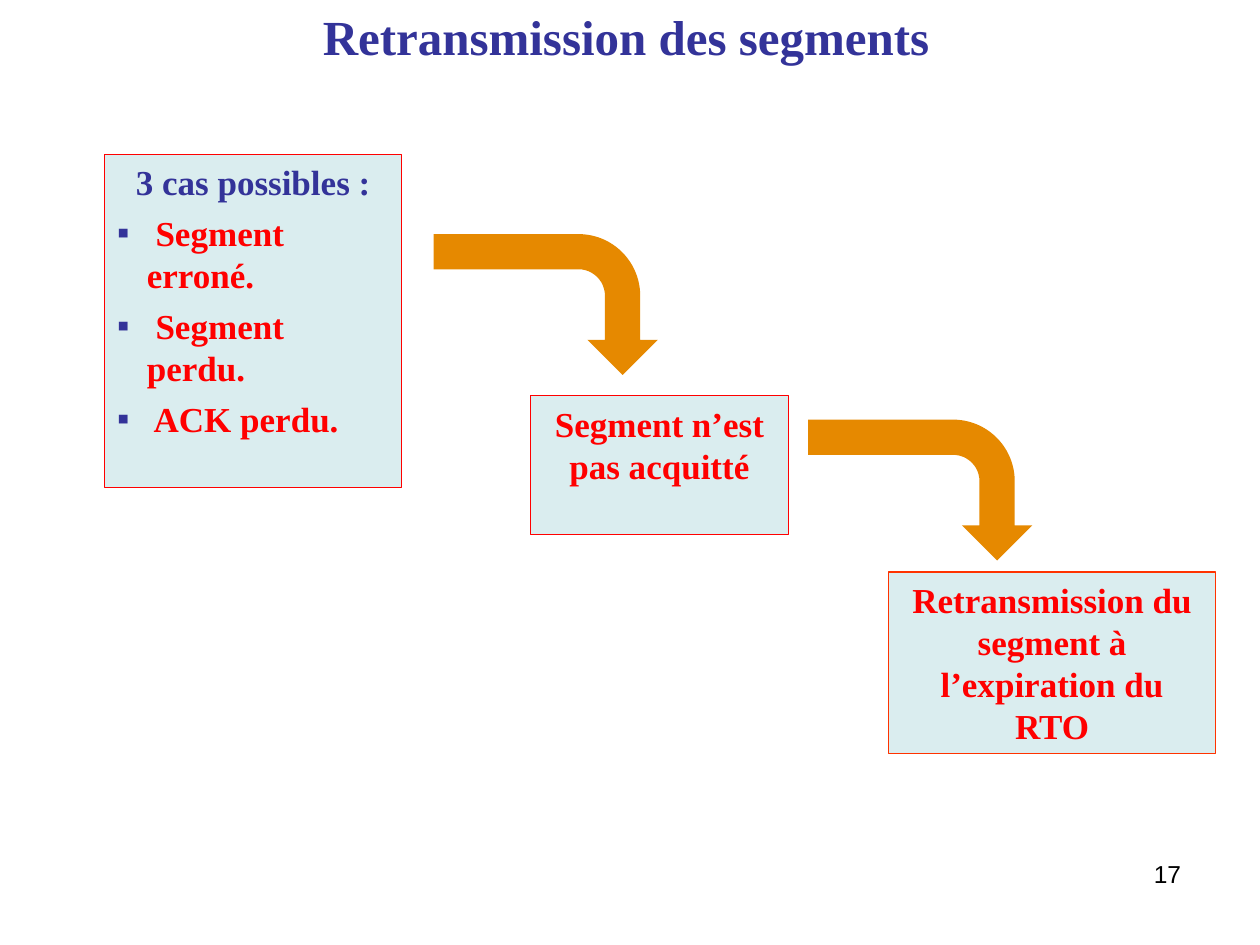
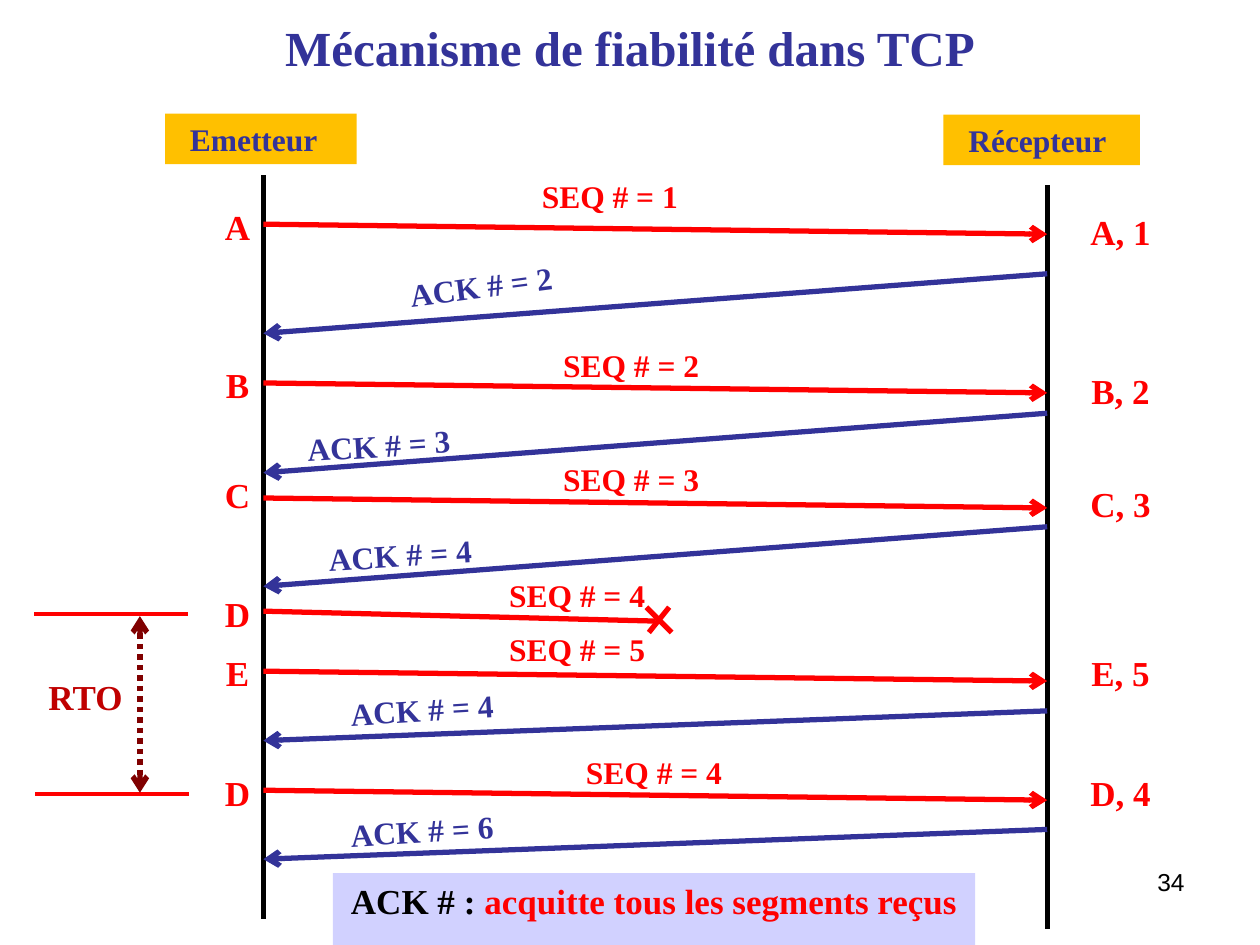
import pptx
import pptx.dml.color
import pptx.enum.dml
import pptx.enum.shapes
import pptx.enum.text
import pptx.oxml.ns
import pptx.util
from lxml import etree

COLORS = {
    "blue": "333399", "red": "FF0000", "orange_red": "FF3300", "black": "000000",
    "pale_blue": "DAEDEF", "orange": "E68900", "gold": "FFC000",
    "lilac": "D1D1FF", "maroon": "800000", "dark_red": "C00000",
}
SERIF, SANS = "Times New Roman", "Arial"
Cm, Pt = pptx.util.Cm, pptx.util.Pt
ALIGN = pptx.enum.text.PP_ALIGN
SHAPE = pptx.enum.shapes.MSO_SHAPE


def rgb(name):
    return pptx.dml.color.RGBColor.from_string(COLORS[name])


def add_element(parent, tag, **attributes):
    return etree.SubElement(parent, pptx.oxml.ns.qn(tag), attributes)


class Deck:
    """Holds the common style and the slide being filled; lengths are in cm."""

    def __init__(self):
        self.presentation = pptx.Presentation()
        self.presentation.slide_width = Cm(25.4)
        self.presentation.slide_height = Cm(19.05)
        self.slide = None

    def new_slide(self, title, title_at, number, number_at):
        layout = self.presentation.slide_layouts[6]
        self.slide = self.presentation.slides.add_slide(layout)
        title_box = self.label(title, *title_at, 22.86, 1.17, "blue", 28)
        title_box.text_frame.vertical_anchor = pptx.enum.text.MSO_ANCHOR.MIDDLE
        self.label(number, *number_at, 5.92, 1.32, "black", 14,
                   font=SANS, bold=False, align=ALIGN.RIGHT, wrap=True)

    def style(self, paragraph, color, size, font=SERIF, bold=True, align=ALIGN.CENTER):
        paragraph.alignment = align
        paragraph.font.name = font
        paragraph.font.size = Pt(size)
        paragraph.font.bold = bold
        if color:
            paragraph.font.color.rgb = rgb(color)

    def label(self, text, left, top, width, height, color, size=18, rotation=0,
              wrap=False, **style):
        box = self.slide.shapes.add_textbox(Cm(left), Cm(top), Cm(width), Cm(height))
        box.rotation = rotation
        box.text_frame.word_wrap = wrap
        box.text_frame.text = text
        self.style(box.text_frame.paragraphs[0], color, size, **style)
        return box

    def shape(self, kind, left, top, width, height, fill, line=None):
        shape = self.slide.shapes.add_shape(kind, Cm(left), Cm(top), Cm(width), Cm(height))
        shape.shadow.inherit = False
        shape.fill.solid()
        shape.fill.fore_color.rgb = rgb(fill)
        if line:
            shape.line.color.rgb = rgb(line)
            shape.line.width = Pt(0.75)
        else:
            shape.line.fill.background()
        return shape

    def box(self, text, left, top, width, height, fill, color, size=20, line=None,
            wrap=True):
        shape = self.shape(SHAPE.RECTANGLE, left, top, width, height, fill, line)
        frame = shape.text_frame
        frame.word_wrap = wrap
        frame.vertical_anchor = pptx.enum.text.MSO_ANCHOR.TOP
        frame.text = text
        self.style(frame.paragraphs[0], color, size)
        return frame

    def bullet(self, frame, text, color, bullet_color):
        paragraph = frame.add_paragraph()
        paragraph.text = text
        paragraph.space_before = Pt(5)
        properties = paragraph._p.get_or_add_pPr()
        properties.set("marL", str(Cm(0.6)))
        properties.set("indent", str(-Cm(0.6)))
        bullet_fill = add_element(properties, "a:buClr")
        add_element(bullet_fill, "a:srgbClr", val=COLORS[bullet_color])
        add_element(properties, "a:buFont", typeface=SANS)
        add_element(properties, "a:buChar", char="▪")
        self.style(paragraph, color, 20, align=ALIGN.LEFT)

    def bent_arrow(self, left, top):
        arrow = self.shape(SHAPE.BENT_ARROW, left, top, 2.84, 4.52, "orange")
        arrow.rotation = 90

    def line(self, x1, y1, x2, y2, color, width=3, arrows=(), dotted=False):
        connector = self.slide.shapes.add_connector(
            pptx.enum.shapes.MSO_CONNECTOR.STRAIGHT, Cm(x1), Cm(y1), Cm(x2), Cm(y2))
        connector.line.color.rgb = rgb(color)
        connector.line.width = Pt(width)
        if dotted:
            connector.line.dash_style = pptx.enum.dml.MSO_LINE.ROUND_DOT
        for end in arrows:
            add_element(connector.line._get_or_add_ln(), end, type="arrow")
        add_element(connector._element.spPr, "a:effectLst")


def build_retransmission(deck):
    deck.new_slide("Retransmission des segments", (1.19, 0.13), "17", (18.14, 17.2))

    # Cases, consequence and reaction
    cases = deck.box("3 cas possibles :", 2.11, 3.12, 5.99, 6.71,
                     "pale_blue", "blue", line="red")
    for case in (" Segment erroné.", " Segment perdu.", " ACK perdu."):
        deck.bullet(cases, case, "red", "blue")
    deck.box("Segment n’est pas acquitté", 10.69, 7.98, 5.21, 2.79,
             "pale_blue", "red", line="red")
    deck.box("Retransmission du segment à l’expiration du RTO", 17.91, 11.53, 6.6, 3.66,
             "pale_blue", "red", line="orange_red")

    # Arrows between the steps
    deck.bent_arrow(9.58, 3.88)
    deck.bent_arrow(17.13, 7.62)


def build_reliability(deck):
    deck.new_slide("Mécanisme de fiabilité dans TCP", (1.27, 0.36), "34", (18.21, 17.35))
    sender, receiver, lost_at = 5.31, 21.11, 13.21

    # Time axes and their headings
    deck.line(sender, 3.53, sender, 18.52, "black")
    deck.line(receiver, 3.73, receiver, 18.72, "black")
    for name, left, top, width, right_inset in (
            ("Emetteur", 3.33, 2.29, 3.86, 0.54), ("Récepteur", 19.02, 2.31, 3.96, 0.42)):
        heading = deck.box(name, left, top, width, 1.02, "gold", "blue", 18)
        heading.margin_right = Cm(right_inset)

    # Segments: name, name top, send time, number, number position, receipt, receipt top
    segments = (
        ("A", 4.01, 4.52, 1, (10.62, 3.45), "A, 1", 4.11),
        ("B", 7.21, 7.72, 2, (11.05, 6.86), "B, 2", 7.32),
        ("C", 9.42, 10.04, 3, (11.05, 9.14), "C, 3", 9.6),
        ("D", 11.81, 12.32, 4, (9.96, 11.48), None, None),
        ("E", 13, 13.53, 5, (9.96, 12.57), "E, 5", 13),
        ("D", 15.42, 15.93, 4, (11.51, 15.06), "D, 4", 15.42),
    )
    for name, name_top, sent, number, number_at, receipt, receipt_top in segments:
        end, arrows = (receiver, ["a:tailEnd"]) if receipt else (lost_at, [])
        deck.line(sender, sent, end, sent + 0.2, "red", arrows=arrows)
        deck.label(name, 3.89, name_top, 1.8, 1.12, "red", 20)
        deck.label(f"SEQ # = {number}", *number_at, 3.35, 1.02, "red")
        if receipt:
            deck.label(receipt, 21.69, receipt_top, 1.8, 1.12, "red", 20)

    # Cross on the lost segment
    deck.line(13.49, 12.24, 13.08, 12.75, "red")
    deck.line(13.03, 12.24, 13.54, 12.75, "red")

    # Acknowledgements: number, send time, delay, label position, label angle
    acknowledgements = (
        (2, 5.52, 1.2, (7.89, 5.26), -7.4),
        (3, 8.33, 1.2, (5.83, 8.46), -3.6),
        (4, 10.62, 1.2, (6.26, 10.67), -3.6),
        (4, 14.33, 0.6, (6.7, 13.79), -3.6),
        (6, 16.72, 0.6, (6.7, 16.23), -3.6),
    )
    for number, sent, delay, label_at, angle in acknowledgements:
        deck.line(receiver, sent, sender, sent + delay, "blue", arrows=["a:tailEnd"])
        deck.label(f"ACK # = {number}", *label_at, 3.61, 1.02, "blue", rotation=angle)

    # Retransmission timeout
    deck.line(0.69, 12.37, 3.78, 12.37, "red", 2.25)
    deck.line(0.71, 16, 3.81, 16, "red", 2.25)
    deck.line(2.82, 12.42, 2.82, 15.98, "maroon",
              arrows=["a:headEnd", "a:tailEnd"], dotted=True)
    deck.label("RTO", 0.71, 13.49, 2.03, 1.12, "dark_red", 20)

    # Meaning of the acknowledgement number
    note = deck.box("", 6.71, 17.6, 12.95, 1.96, "lilac", None, wrap=False)
    for text, color in (("ACK # : ", "black"), ("acquitte tous les segments reçus", "red")):
        run = note.paragraphs[0].add_run()
        run.text = text
        run.font.color.rgb = rgb(color)


def main():
    deck = Deck()
    build_retransmission(deck)
    build_reliability(deck)
    deck.presentation.save("out.pptx")


if __name__ == "__main__":
    main()
